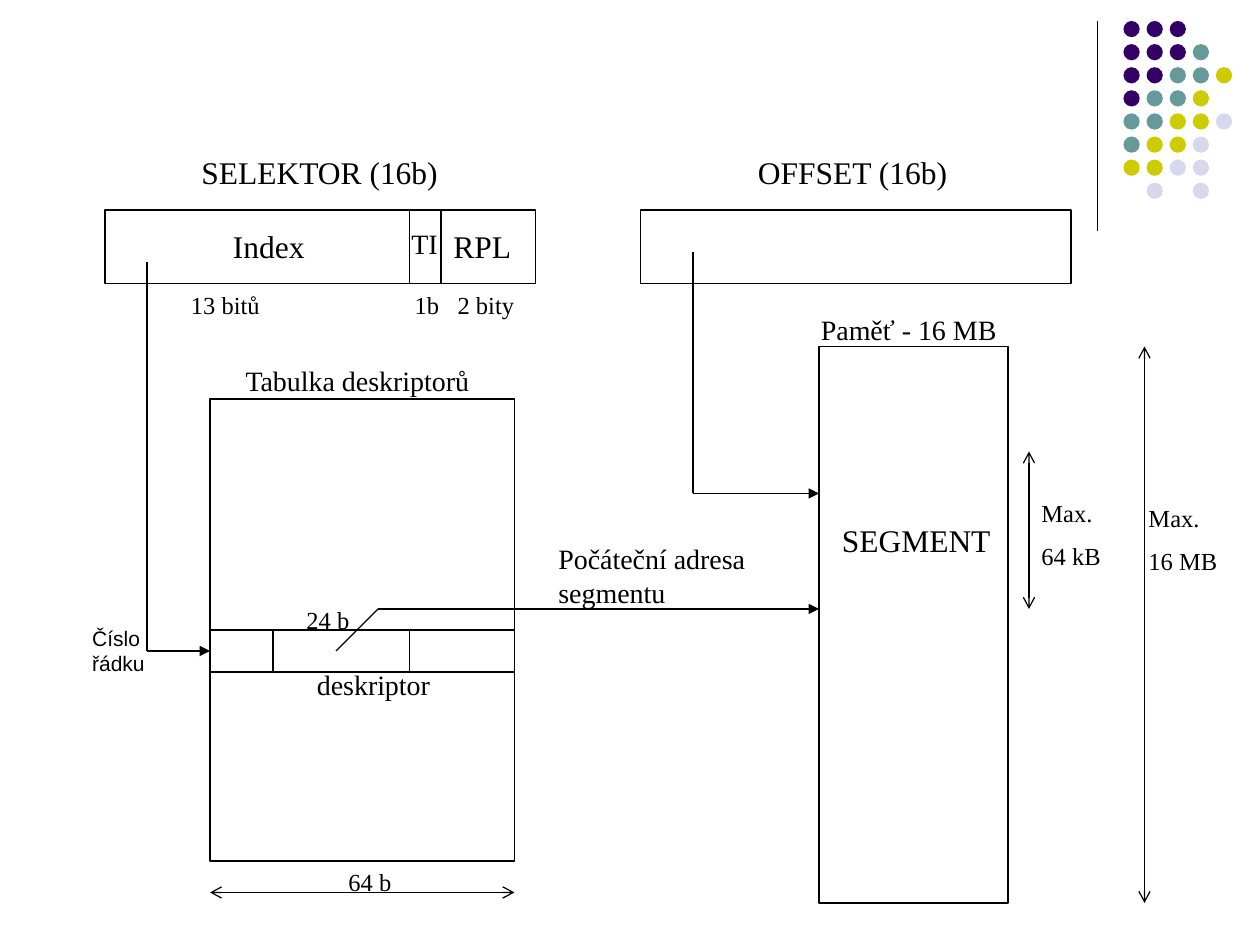
from dataclasses import dataclass
from itertools import pairwise

from lxml.etree import SubElement
from pptx import Presentation
from pptx.dml.color import RGBColor
from pptx.enum.shapes import MSO_CONNECTOR as Connector, MSO_SHAPE as Shape
from pptx.oxml.ns import qn
from pptx.util import Inches, Pt


@dataclass(frozen=True)
class Theme:
    """Colours, fonts and type sizes of the slide."""
    ink: str = "000000"
    dots: tuple = ("330066", "669999", "CCCC00", "D8D8EC")
    serif: str = "Times New Roman"
    sans: str = "Arial"
    title: int = 18
    heading: int = 16
    label: int = 14
    note: int = 12
    gap: int = 8
    line: float = 0.75


THEME = Theme()
CELLS_PER_INCH = 12
DOT_ROWS = ("000", "0001", "00112", "0112", "11223", "1223", "2233", " 3 3")
DOT_PITCH, DOT_SIZE = 2.2, 1.55


def cells(count):
    """Convert grid cells to a length."""
    return Inches(count / CELLS_PER_INCH)


def add_box(slide, left, top, width, height):
    """Draw an outlined block without a fill."""
    shape = slide.shapes.add_shape(Shape.RECTANGLE, *map(cells, (left, top, width, height)))
    shape.shadow.inherit = False
    shape.fill.background()
    shape.line.color.rgb = RGBColor.from_string(THEME.ink)
    shape.line.width = Pt(THEME.line)


def add_line(slide, start, end, head=None, tail=None):
    """Draw a straight line with optional arrowheads."""
    connector = slide.shapes.add_connector(Connector.STRAIGHT, *map(cells, (*start, *end)))
    connector.line.color.rgb = RGBColor.from_string(THEME.ink)
    connector.line.width = Pt(THEME.line)
    properties = connector._element.spPr
    for tag, kind in (("a:headEnd", head), ("a:tailEnd", tail)):
        if kind:
            SubElement(properties.find(qn("a:ln")), qn(tag), type=kind)
    SubElement(properties, qn("a:effectLst"))


def add_path(slide, *points):
    """Draw a chain of lines that ends in a solid arrowhead."""
    segments = list(pairwise(points))
    for start, end in segments[:-1]:
        add_line(slide, start, end)
    add_line(slide, *segments[-1], tail="triangle")


def add_dimension(slide, start, end):
    """Draw a line with open arrowheads at both ends."""
    add_line(slide, start, end, head="arrow", tail="arrow")


def add_text(slide, text, left, top, width, size, font=THEME.serif, tabs=()):
    """Write a label whose paragraphs are separated by line ends."""
    lines = text.split("\n")
    height = len(lines) * size / 4
    frame = slide.shapes.add_textbox(*map(cells, (left, top, width, height))).text_frame
    frame.word_wrap = True
    frame.text = text
    for index, paragraph in enumerate(frame.paragraphs):
        if tabs:
            tab_list = SubElement(paragraph._p.get_or_add_pPr(), qn("a:tabLst"))
            for position in tabs:
                SubElement(tab_list, qn("a:tab"), pos=str(cells(position)), algn="l")
        if index:
            paragraph.space_before = Pt(THEME.gap)
        for run in paragraph.runs:
            run.font.name = font
            run.font.size = Pt(size)
            run.font.color.rgb = RGBColor.from_string(THEME.ink)


def add_dots(slide, left, top):
    """Draw the corner ornament of coloured dots."""
    for row, colours in enumerate(DOT_ROWS):
        for column, colour in enumerate(colours):
            if colour == " ":
                continue
            place = (left + column * DOT_PITCH, top + row * DOT_PITCH, DOT_SIZE, DOT_SIZE)
            dot = slide.shapes.add_shape(Shape.OVAL, *map(cells, place))
            dot.shadow.inherit = False
            dot.fill.solid()
            dot.fill.fore_color.rgb = RGBColor.from_string(THEME.dots[int(colour)])
            dot.line.fill.background()


def add_address(slide):
    """Draw the selector and offset registers."""
    for left in (10, 61):
        add_box(slide, left, 20, 41, 7)
    for column in (39, 42):
        add_line(slide, (column, 20), (column, 27))
    add_text(slide, "SELEKTOR (16b)", 18, 14, 32, THEME.title)
    add_text(slide, "OFFSET (16b)", 71, 14, 24, THEME.title)
    add_text(slide, "Index", 21, 21, 14, THEME.title)
    add_text(slide, "TI", 38, 21, 8, THEME.heading)
    add_text(slide, "RPL", 42, 21, 9, THEME.title)
    add_text(slide, "13 bitů\t1b\t2 bity", 17, 27, 38, THEME.label, tabs=(21.3, 25.4))


def add_descriptor_table(slide):
    """Draw the descriptor table with one descriptor row."""
    add_box(slide, 20, 38, 29, 44)
    for row in (60, 64):
        add_line(slide, (20, row), (49, row))
    for column in (26, 39):
        add_line(slide, (column, 60), (column, 64))
    add_path(slide, (14, 25), (14, 62), (20, 62))
    add_dimension(slide, (20, 85), (49, 85))
    add_text(slide, "Tabulka deskriptorů", 22.2, 34, 26, THEME.heading)
    add_text(slide, "24 b", 28, 57, 15, THEME.label)
    add_text(slide, "deskriptor", 29, 63, 17, THEME.heading)
    add_text(slide, "64 b", 32, 82, 15, THEME.label)
    add_text(slide, "Číslo řádku", 7.6, 59, 11.7, THEME.note, THEME.sans)


def add_memory(slide):
    """Draw the memory block, its segment and the address arrows."""
    add_box(slide, 78, 33, 18, 53)
    add_path(slide, (66, 24), (66, 47), (78, 47))
    add_path(slide, (32, 62), (36, 58), (78, 58))
    add_dimension(slide, (98, 43), (98, 58))
    add_dimension(slide, (109, 33), (109, 86))
    add_text(slide, "Paměť - 16 MB", 77, 29.2, 26, THEME.heading)
    add_text(slide, "Počáteční adresa segmentu", 52, 51, 24, THEME.heading)
    add_text(slide, "SEGMENT", 79, 49, 18, THEME.title)
    add_text(slide, "Max.\n64 kB", 98, 46.8, 10, THEME.label)
    add_text(slide, "Max.\n16 MB", 108.2, 47.3, 10, THEME.label)


def main():
    """Build and save the slide."""
    presentation = Presentation()
    presentation.slide_width, presentation.slide_height = cells(120), cells(90)
    slide = presentation.slides.add_slide(presentation.slide_layouts[6])
    add_line(slide, (104.5, 2), (104.5, 22))
    add_dots(slide, 107, 2)
    add_address(slide)
    add_descriptor_table(slide)
    add_memory(slide)
    presentation.save("out.pptx")


if __name__ == "__main__":
    main()
